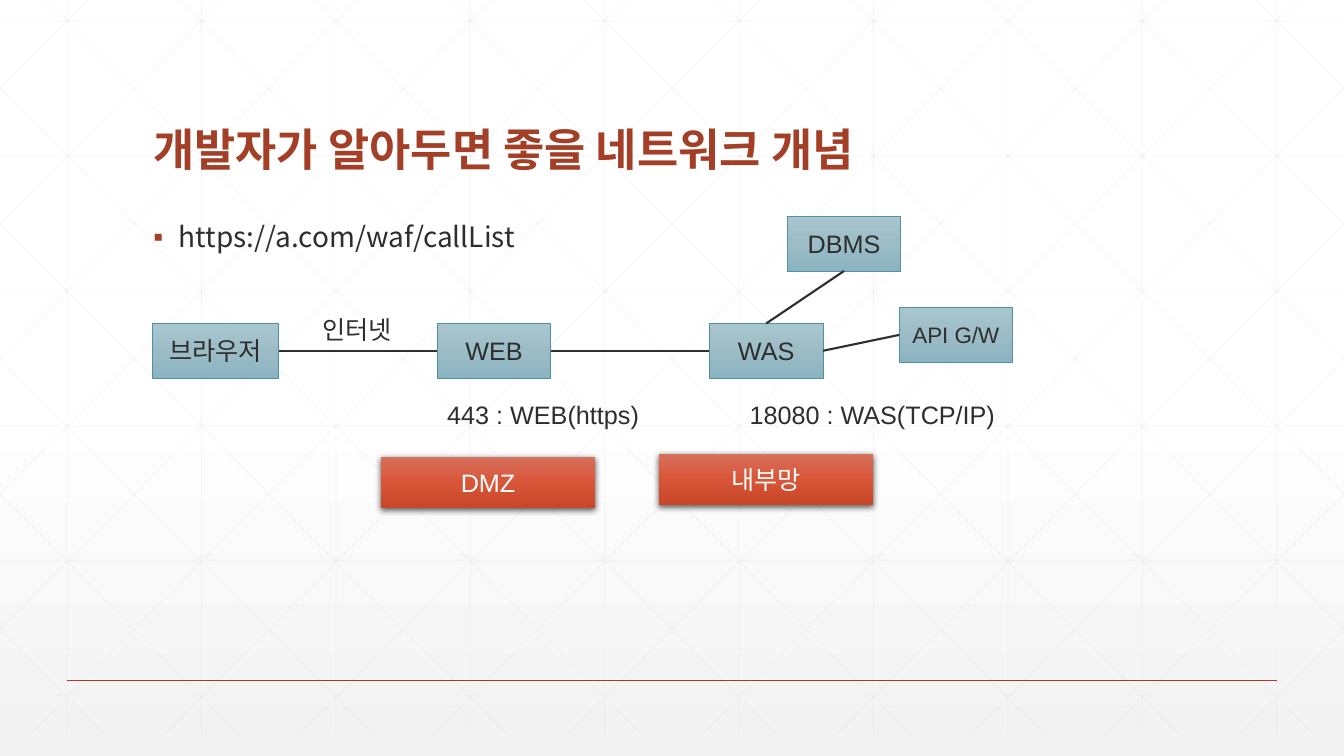
from dataclasses import dataclass

from pptx import Presentation
from pptx import util as u
from pptx.dml.color import RGBColor
from pptx.enum import shapes, text
from pptx.oxml import parse_xml
from pptx.oxml.ns import nsdecls, qn

Cm, Pt = u.Cm, u.Pt

INK = RGBColor(0x2D, 0x2E, 0x2D)
RUST = RGBColor(0xA4, 0x3F, 0x27)
TEAL = RGBColor(0x4F, 0x91, 0xA1)
WHITE = RGBColor(0xFF, 0xFF, 0xFF)
MESH = RGBColor(0xD9, 0xD9, 0xD9)
PAPER_STOPS = {0: WHITE, 53: WHITE, 100: RGBColor(0xF2, 0xF2, 0xF2)}
NODE_STOPS = {0: RGBColor(0xA9, 0xC6, 0xCF), 50: RGBColor(0x9C, 0xBC, 0xC6),
              100: RGBColor(0x8A, 0xB4, 0xC0)}
ZONE_STOPS = {0: RGBColor(0xD7, 0x70, 0x5D), 50: RGBColor(0xD8, 0x55, 0x37),
              100: RGBColor(0xC8, 0x47, 0x28)}

LATIN, KOREAN = "Arial", "Noto Sans CJK KR"
WIDTH, HEIGHT = 33.87, 19.05
MESH_BOTTOM, MESH_STEP = 18.52, 3.387
TOP, LEFT, BOTTOM, RIGHT = range(4)  # connection sites of a rectangle


@dataclass
class Item:
    """A captioned rectangle, measured in centimetres."""
    caption: str
    left: float
    top: float
    width: float
    height: float
    size: int = 18


@dataclass
class Link:
    start: str
    start_site: int
    end: str
    end_site: int


NODES = [
    Item("브라우저", 3.84, 8.15, 3.18, 1.38),
    Item("WEB", 11.02, 8.15, 2.86, 1.38),
    Item("WAS", 17.88, 8.15, 2.86, 1.38),
    Item("DBMS", 19.84, 5.45, 2.86, 1.38),
    Item("API G/W", 22.66, 7.75, 2.86, 1.38, 16),
]
ZONES = [Item("DMZ", 9.6, 11.51, 5.4, 1.3), Item("내부망", 16.61, 11.43, 5.4, 1.3)]
LABELS = [
    Item("인터넷", 7.87, 7.8, 2.44, 1.02),
    Item("443 : WEB(https)", 11.02, 9.93, 5.38, 1.02),
    Item("18080 : WAS(TCP/IP)", 18.64, 9.93, 6.76, 1.02),
]
LINKS = [
    Link("브라우저", RIGHT, "WEB", LEFT),
    Link("WEB", RIGHT, "WAS", LEFT),
    Link("WAS", TOP, "DBMS", BOTTOM),
    Link("WAS", RIGHT, "API G/W", LEFT),
]


def write(box, words: str, *, size: int, color=INK, font=LATIN, bold=False,
          align=text.PP_ALIGN.LEFT, anchor=text.MSO_ANCHOR.TOP, wrap=True,
          grow=False, spacing=1.0, bullet="") -> None:
    frame = box.text_frame
    frame.word_wrap = wrap
    frame.auto_size = (text.MSO_AUTO_SIZE.SHAPE_TO_FIT_TEXT if grow
                       else text.MSO_AUTO_SIZE.NONE)
    frame.vertical_anchor = anchor
    para = frame.paragraphs[0]
    para.alignment, para.line_spacing, para.space_before = align, spacing, Pt(0)
    if bullet:
        props = para._p.get_or_add_pPr()
        props.set("marL", str(Cm(0.64)))
        props.set("indent", str(-Cm(0.64)))
        props.append(parse_xml(f'<a:buClr {nsdecls("a")}><a:srgbClr val="{RUST}"/></a:buClr>'))
        props.append(parse_xml(f'<a:buChar {nsdecls("a")} char="{bullet}"/>'))
    span = para.add_run()
    span.text = words
    span.font.size, span.font.bold, span.font.name = Pt(size), bold, font
    span.font.color.rgb = color
    span._r.get_or_add_rPr().append(
        parse_xml(f'<a:ea {nsdecls("a")} typeface="{KOREAN}"/>'))


def shade(fill, owner, stops: dict[int, RGBColor]) -> None:
    """Fill downwards through the given percentage stops."""
    fill.gradient()
    fill.gradient_angle = 270
    stop_list = next(owner.iter(qn("a:gsLst")))
    for stop in list(stop_list):
        stop_list.remove(stop)
    for percent, color in stops.items():
        stop_list.append(parse_xml(
            f'<a:gs {nsdecls("a")} pos="{percent * 1000}"><a:srgbClr val="{color}"/></a:gs>'))


def add_line(page, x1: float, y1: float, x2: float, y2: float, color: RGBColor,
             width: float, opacity: int = 100):
    line = page.shapes.add_connector(
        shapes.MSO_CONNECTOR.STRAIGHT, Cm(x1), Cm(y1), Cm(x2), Cm(y2))
    line.line.color.rgb, line.line.width = color, Pt(width)
    if opacity < 100:
        tint = next(line.element.spPr.iter(qn("a:srgbClr")))
        tint.append(parse_xml(f'<a:alpha {nsdecls("a")} val="{opacity * 1000}"/>'))
    line.element.spPr.append(parse_xml(f'<a:effectLst {nsdecls("a")}/>'))
    return line


def add_mesh(page) -> None:
    def thread(x1: float, y1: float, x2: float, y2: float) -> None:
        add_line(page, x1, y1, x2, y2, MESH, 0.5, 25)

    for column in range(10):
        x = 1.69 + column * MESH_STEP
        thread(x, 0, x, MESH_BOTTOM)
    for row in range(6):
        y = 0.53 + row * 3.4
        thread(0, y, WIDTH, y)
    # Diagonals are cut at the side edges and mirrored
    slope = 1.006
    for step in range(-5, 10):
        start = 1.17 + step * MESH_STEP
        x1, x2 = max(start, 0), min(start + MESH_BOTTOM / slope, WIDTH)
        y1, y2 = (x1 - start) * slope, (x2 - start) * slope
        thread(x1, y1, x2, y2)
        thread(WIDTH - x1, y1, WIDTH - x2, y2)


def add_block(page, item: Item, stops: dict[int, RGBColor], color: RGBColor):
    block = page.shapes.add_shape(
        shapes.MSO_SHAPE.RECTANGLE, Cm(item.left), Cm(item.top),
        Cm(item.width), Cm(item.height))
    shade(block.fill, block.element, stops)
    block.line.fill.background()
    block.shadow.inherit = False
    write(block, item.caption, size=item.size, color=color,
          align=text.PP_ALIGN.CENTER, anchor=text.MSO_ANCHOR.MIDDLE)
    return block


def place(page, box, top: float, height: float) -> None:
    """Move a placeholder into position, in front of the backdrop."""
    box.left, box.top, box.width, box.height = Cm(3.61), Cm(top), Cm(26.67), Cm(height)
    page.shapes.element.append(box.element)


def main() -> None:
    deck = Presentation()
    deck.slide_width, deck.slide_height = Cm(WIDTH), Cm(HEIGHT)
    page = deck.slides.add_slide(deck.slide_layouts[1])

    # Backdrop
    shade(page.background.fill, page.element, PAPER_STOPS)
    add_mesh(page)
    add_line(page, 1.69, 17.15, 32.18, 17.15, RUST, 1)

    # Title and address
    title, body = page.placeholders
    place(page, title, 1.4, 3.18)
    write(title, "개발자가 알아두면 좋을 네트워크 개념", size=32, color=RUST,
          font=KOREAN, bold=True, anchor=text.MSO_ANCHOR.BOTTOM, spacing=0.9)
    place(page, body, 5.51, 10.59)
    write(body, "https://a.com/waf/callList", size=20, font=KOREAN,
          spacing=0.9, bullet="▪")

    # Servers and their links
    nodes = {}
    for item in NODES:
        node = nodes[item.caption] = add_block(page, item, NODE_STOPS, INK)
        node.line.color.rgb, node.line.width = TEAL, Pt(0.5)
    for link in LINKS:
        line = add_line(page, 0, 0, 1, 1, INK, 1.5)
        line.begin_connect(nodes[link.start], link.start_site)
        line.end_connect(nodes[link.end], link.end_site)

    # Labels
    for item in LABELS:
        box = page.shapes.add_textbox(
            Cm(item.left), Cm(item.top), Cm(item.width), Cm(item.height))
        write(box, item.caption, size=item.size, wrap=False, grow=True)

    # Network zones with a soft shadow
    for item in ZONES:
        zone = add_block(page, item, ZONE_STOPS, WHITE)
        next(zone.element.iter(qn("a:effectLst"))).append(parse_xml(
            f'<a:outerShdw {nsdecls("a")} blurRad="{Pt(4.5)}" dist="{Pt(1.5)}" '
            'dir="5400000" algn="ctr" rotWithShape="0"><a:srgbClr val="000000">'
            '<a:alpha val="63000"/></a:srgbClr></a:outerShdw>'))

    deck.save("out.pptx")


if __name__ == "__main__":
    main()
